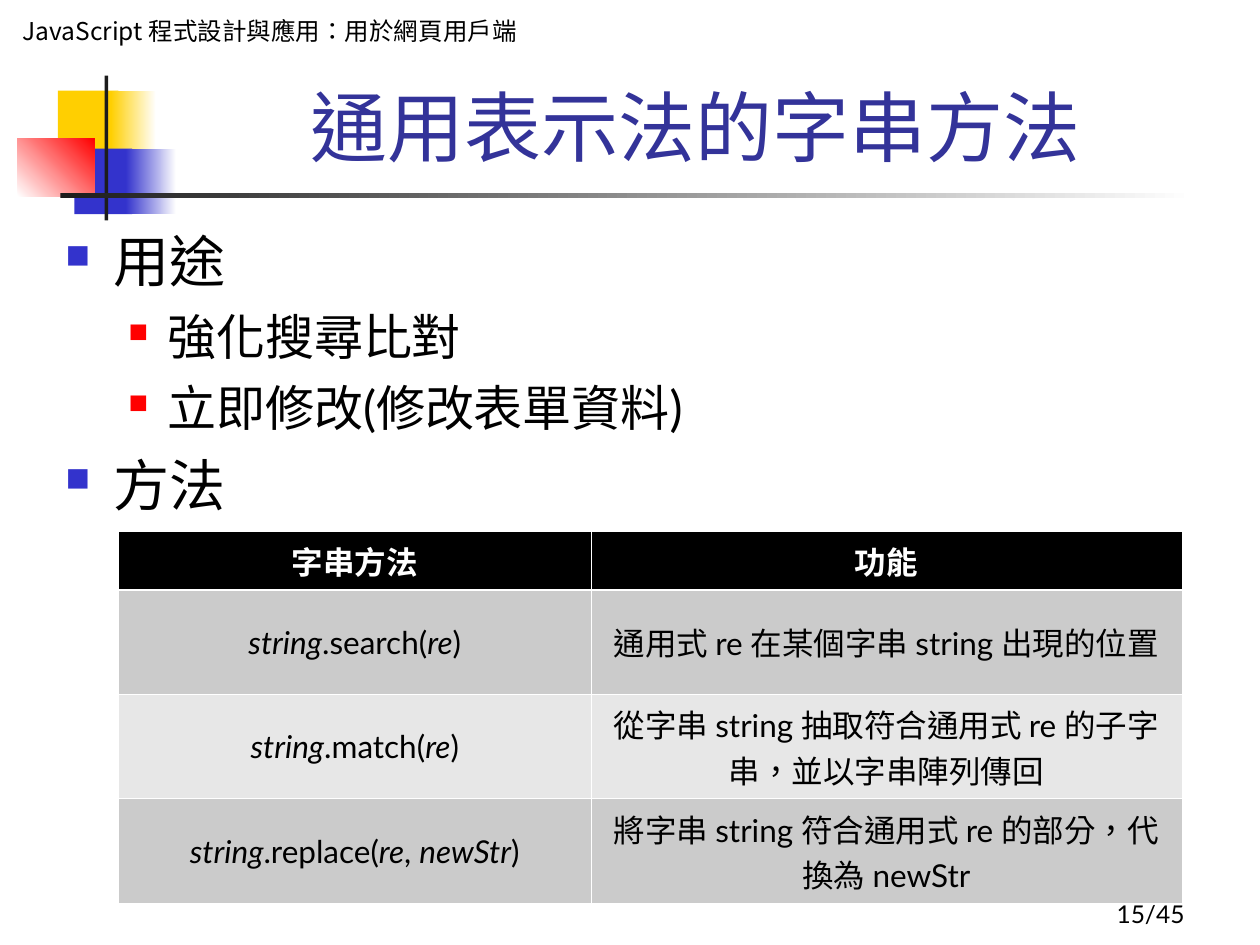
from typing import NamedTuple, Optional

from lxml.etree import SubElement
from pptx import Presentation
from pptx.dml.color import RGBColor
from pptx.enum.lang import MSO_LANGUAGE_ID
from pptx.enum.shapes import MSO_SHAPE
from pptx.enum.text import MSO_ANCHOR, PP_ALIGN
from pptx.oxml.ns import qn
from pptx.util import Inches, Pt

BLACK = RGBColor(0x00, 0x00, 0x00)
WHITE = RGBColor(0xFF, 0xFF, 0xFF)
CHARCOAL = RGBColor(0x1C, 0x1C, 0x1C)
YELLOW = RGBColor(0xFF, 0xCF, 0x01)
BLUE = RGBColor(0x33, 0x33, 0xCC)
RED = RGBColor(0xFF, 0x00, 0x00)
TITLE_BLUE = RGBColor(0x33, 0x33, 0x99)
DARK_BAND = RGBColor(0xCB, 0xCB, 0xCB)
LIGHT_BAND = RGBColor(0xE7, 0xE7, 0xE7)
LATIN = "Lato"
CJK = "Noto Sans CJK SC"
HEADING_HEIGHT = 0.46
METHOD_HEIGHT = 0.83


class Block(NamedTuple):
    """A decorative rectangle; fade_to turns its fill into a gradient."""
    left: float
    top: float
    width: float
    height: float
    color: RGBColor
    fade_to: Optional[RGBColor] = None
    angle: float = 0


class Level(NamedTuple):
    """Format of one outline level."""
    size: int
    space_before: int
    margin: float
    hanging: float
    bullet_color: RGBColor
    bullet_percent: int


class Method(NamedTuple):
    """A table row: the call, with its italic parts in asterisks, and its purpose."""
    call: str
    purpose: str


BLOCKS = [
    Block(0.46, 0.72, 0.48, 0.52, YELLOW),
    Block(0.88, 0.72, 0.36, 0.52, YELLOW, WHITE),
    Block(0.59, 1.18, 0.46, 0.52, BLUE),
    Block(1.0, 1.18, 0.4, 0.52, BLUE, WHITE),
    Block(0.14, 1.1, 0.61, 0.46, WHITE, RED, 45),
    Block(0.83, 0.6, 0.03, 1.15, CHARCOAL),
    Block(0.48, 1.53, 9, 0.04, CHARCOAL, WHITE),
]
LEVELS = [
    Level(32, 8, 0.38, 0.38, BLUE, 60),
    Level(28, 7, 0.81, 0.31, RED, 55),
]
OUTLINE = [
    (0, "用途"),
    (1, "強化搜尋比對"),
    (1, "立即修改(修改表單資料)"),
    (0, "方法"),
]
METHODS = [
    Method("*string*.search(*re*)", "通用式 re 在某個字串 string 出現的位置"),
    Method("*string*.match(*re*)", "從字串 string 抽取符合通用式 re 的子字串，並以字串陣列傳回"),
    Method("*string*.replace(*re*, *newStr*)", "將字串 string 符合通用式 re 的部分，代換為 newStr"),
]


def write(paragraph, text: str, *, size: int, color=BLACK, font=LATIN,
          east_asian=LATIN, bold=False, align=PP_ALIGN.LEFT) -> None:
    """Fill a paragraph; parts between asterisks become italic."""
    paragraph.alignment = align
    for position, part in enumerate(text.split("*")):
        if not part:
            continue
        run = paragraph.add_run()
        run.text = part
        run.font.size = Pt(size)
        run.font.name = font
        run.font.bold = bold
        run.font.italic = position % 2 == 1
        run.font.language_id = MSO_LANGUAGE_ID.TRADITIONAL_CHINESE
        run.font.color.rgb = color
        SubElement(run.font._element, qn("a:ea"), typeface=east_asian)


def add_block(slide, block: Block) -> None:
    shape = slide.shapes.add_shape(
        MSO_SHAPE.RECTANGLE, Inches(block.left), Inches(block.top),
        Inches(block.width), Inches(block.height))
    shape.shadow.inherit = False
    shape.line.fill.background()
    if block.fade_to is None:
        shape.fill.solid()
        shape.fill.fore_color.rgb = block.color
        return
    shape.fill.gradient()
    shape.fill.gradient_angle = block.angle
    for stop, color in zip(shape.fill.gradient_stops, (block.color, block.fade_to)):
        stop.color.rgb = color


def add_frame(slide, left: float, top: float, width: float, height: float,
              anchor=MSO_ANCHOR.TOP):
    frame = slide.shapes.add_textbox(
        Inches(left), Inches(top), Inches(width), Inches(height)).text_frame
    frame.word_wrap = True
    frame.vertical_anchor = anchor
    return frame


def set_bullet(paragraph, level: Level) -> None:
    props = paragraph._p.get_or_add_pPr()
    props.set("marL", str(Inches(level.margin)))
    props.set("indent", str(-Inches(level.hanging)))
    color = SubElement(props, qn("a:buClr"))
    SubElement(color, qn("a:srgbClr"), val=str(level.bullet_color))
    SubElement(props, qn("a:buSzPct"), val=str(level.bullet_percent * 1000))
    SubElement(props, qn("a:buChar"), char="■")


def add_outline(slide) -> None:
    frame = add_frame(slide, 0.42, 1.75, 9.38, 5.08)
    for index, (depth, text) in enumerate(OUTLINE):
        paragraph = frame.add_paragraph() if index else frame.paragraphs[0]
        level = LEVELS[depth]
        paragraph.level = depth
        set_bullet(paragraph, level)
        if index:
            paragraph.space_before = Pt(level.space_before)
        write(paragraph, text, size=level.size)


def style_cell(cell, fill: RGBColor, top: float, bottom: float) -> None:
    props = cell._tc.get_or_add_tcPr()
    for side, width in (("L", 0.45), ("R", 0.45), ("T", top), ("B", bottom)):
        border = SubElement(props, qn(f"a:ln{side}"), w=str(Pt(width)))
        SubElement(SubElement(border, qn("a:solidFill")), qn("a:srgbClr"), val=str(WHITE))
    cell.fill.solid()
    cell.fill.fore_color.rgb = fill
    cell.vertical_anchor = MSO_ANCHOR.MIDDLE


def add_method_table(slide) -> None:
    rows = [Method("字串方法", "功能"), *METHODS]
    height = HEADING_HEIGHT + METHOD_HEIGHT * len(METHODS)
    table = slide.shapes.add_table(
        len(rows), 2, Inches(0.94), Inches(4.22), Inches(8.44), Inches(height)).table
    table.columns[0].width = Inches(3.75)
    table.columns[1].width = Inches(4.69)
    for index, method in enumerate(rows):
        heading = index == 0
        table.rows[index].height = Inches(HEADING_HEIGHT if heading else METHOD_HEIGHT)
        band = BLACK if heading else (DARK_BAND if index % 2 else LIGHT_BAND)
        for cell, text in zip(table.rows[index].cells, method):
            style_cell(cell, band, top=1.47 if index == 1 else 0.45,
                       bottom=1.47 if heading else 0.45)
            write(cell.text_frame.paragraphs[0], text, size=18, east_asian=CJK,
                  color=WHITE if heading else BLACK, bold=heading,
                  align=PP_ALIGN.CENTER)


def main() -> None:
    deck = Presentation()
    deck.slide_width, deck.slide_height = Inches(10), Inches(7.5)
    slide = deck.slides.add_slide(deck.slide_layouts[6])

    # Corner blocks and rules
    for block in BLOCKS:
        add_block(slide, block)

    # Course name and title
    course = add_frame(slide, 0.08, 0.08, 4.68, 0.34)
    write(course.paragraphs[0], "JavaScript 程式設計與應用：用於網頁用戶端",
          size=14, font=CJK, east_asian=CJK)
    title = add_frame(slide, 1.26, 0.58, 8.52, 0.83, MSO_ANCHOR.BOTTOM)
    write(title.paragraphs[0], "通用表示法的字串方法", size=44,
          color=TITLE_BLUE, align=PP_ALIGN.CENTER)

    # Outline and methods
    add_outline(slide)
    add_method_table(slide)

    # Page number
    page = add_frame(slide, 7.42, 6.92, 2.08, 0.5, MSO_ANCHOR.BOTTOM)
    write(page.paragraphs[0], "15/45", size=14, align=PP_ALIGN.RIGHT)

    deck.save("out.pptx")


if __name__ == "__main__":
    main()
